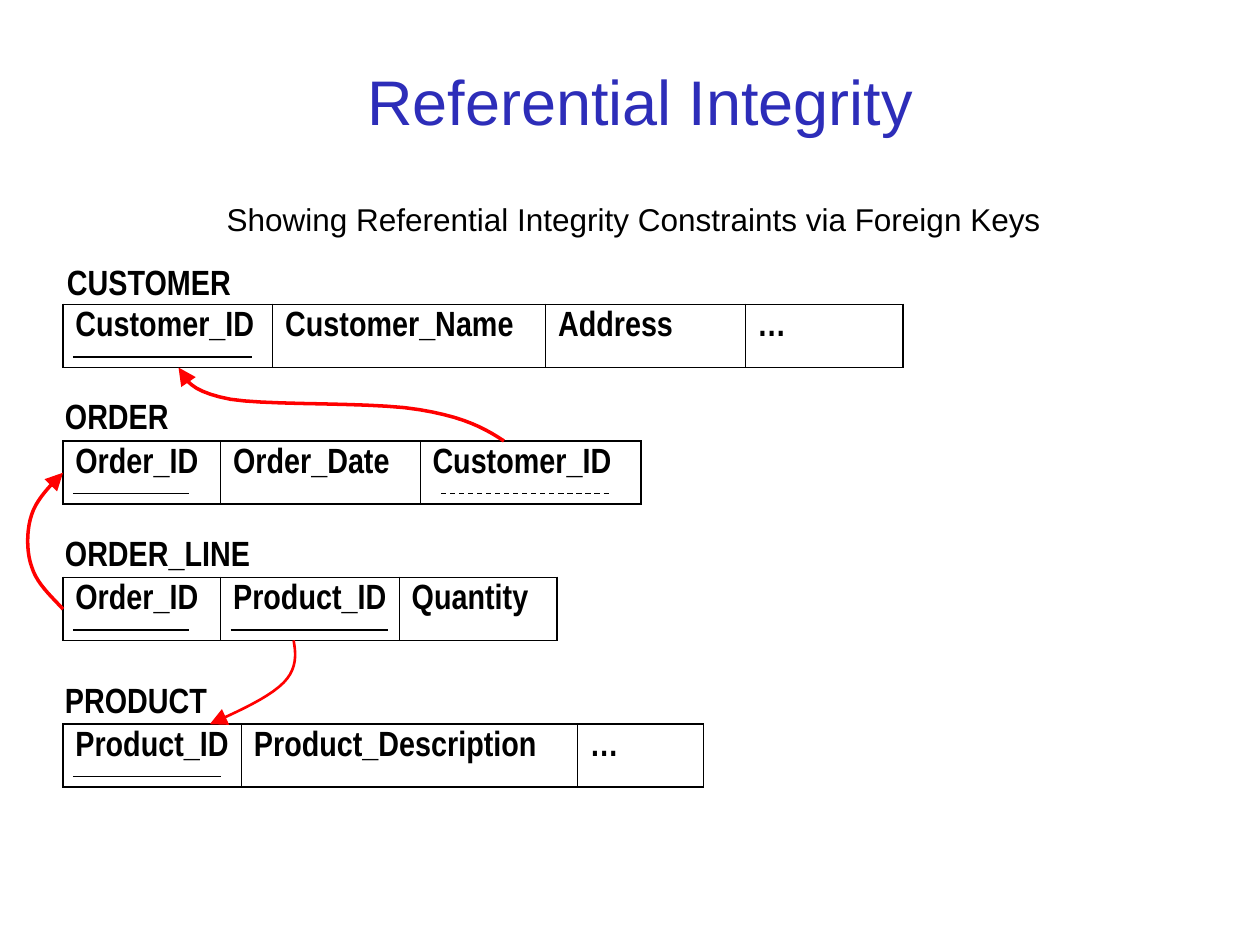
"""Build a slide showing referential integrity between four relations."""
import lxml.etree
import pptx
import pptx.dml.color
import pptx.enum.dml
import pptx.enum.shapes
import pptx.enum.text
import pptx.oxml.ns
import pptx.util

Cm = pptx.util.Cm
Pt = pptx.util.Pt
qn = pptx.oxml.ns.qn
COLORS = {"title": "2D2DB9", "ink": "000000", "key": "FF0000"}
LEFT = 1.27
ROW_HEIGHT = 1.27
UNDERLINE_DROP = 1.06
CURVE_STEPS = 10


def rgb(name):
    """Return the named colour."""
    return pptx.dml.color.RGBColor.from_string(COLORS[name])


def write_text(text_frame, text, size=20, font="Arial Narrow", color="ink", bold=True, align="LEFT"):
    """Write one formatted paragraph into a text frame."""
    paragraph = text_frame.paragraphs[0]
    paragraph.text = text
    paragraph.alignment = getattr(pptx.enum.text.PP_ALIGN, align)
    run_font = paragraph.runs[0].font
    run_font.name = font
    run_font.size = Pt(size)
    run_font.bold = bold
    run_font.color.rgb = rgb(color)


presentation = pptx.Presentation()
presentation.slide_width, presentation.slide_height = Cm(25.4), Cm(19.05)
slide = presentation.slides.add_slide(presentation.slide_layouts[5])

title = slide.shapes.title
title.left, title.top, title.width, title.height = Cm(0.84), Cm(0.43), Cm(24.13), Cm(3.18)
title.text_frame.vertical_anchor = pptx.enum.text.MSO_ANCHOR.MIDDLE
write_text(title.text_frame, "Referential Integrity", size=36, font="Arial",
           color="title", bold=False, align="CENTER")

labels = [
    ("Showing Referential Integrity Constraints via Foreign Keys", 4.32, 3.91, 16.92, 1.02,
     {"size": 18, "font": "Arial", "bold": False}),
    ("CUSTOMER", 1.1, 5.13, 3.81, 1.12, {}),
    ("ORDER", 1.06, 7.83, 2.7, 1.12, {}),
    ("ORDER_LINE", 1.06, 10.58, 4.24, 1.12, {}),
    ("PRODUCT", 1.06, 13.55, 3.45, 1.12, {}),
]
for text, left, top, width, height, style in labels:
    text_box = slide.shapes.add_textbox(Cm(left), Cm(top), Cm(width), Cm(height))
    text_box.text_frame.word_wrap = False
    text_box.text_frame.auto_size = pptx.enum.text.MSO_AUTO_SIZE.SHAPE_TO_FIT_TEXT
    write_text(text_box.text_frame, text, **style)

relations = [
    (6.14, [("Customer_ID", 4.23), ("Customer_Name", 5.5), ("Address", 4.02), ("…", 3.18)],
     [(1.47, 5.08, False)]),
    (8.89, [("Order_ID", 3.18), ("Order_Date", 4.02), ("Customer_ID", 4.45)],
     [(1.47, 3.81, False), (8.89, 12.29, True)]),
    (11.64, [("Order_ID", 3.18), ("Product_ID", 3.6), ("Quantity", 3.18)],
     [(1.47, 3.81, False), (4.65, 7.82, False)]),
    (14.6, [("Product_ID", 3.6), ("Product_Description", 6.77), ("…", 2.54)],
     [(1.47, 4.45, False)]),
]
for top, attributes, underlines in relations:
    total_width = sum(width for _, width in attributes)
    table = slide.shapes.add_table(1, len(attributes), Cm(LEFT), Cm(top),
                                   Cm(total_width), Cm(ROW_HEIGHT)).table
    table.first_row = table.horz_banding = False
    last = len(attributes) - 1
    for column, (name, width) in enumerate(attributes):
        table.columns[column].width = Cm(width)
        cell = table.cell(0, column)
        cell.margin_left = cell.margin_right = Cm(0.25)
        cell.margin_top = cell.margin_bottom = Cm(0.13)
        write_text(cell.text_frame, name)
        properties = cell._tc.get_or_add_tcPr()
        inner_sides = {"L": column > 0, "R": column < last, "T": False, "B": False}
        for side, inner in inner_sides.items():
            border = lxml.etree.SubElement(properties, qn(f"a:ln{side}"),
                                           w=str(Pt(0.45 if inner else 1.08)))
            fill = lxml.etree.SubElement(border, qn("a:solidFill"))
            lxml.etree.SubElement(fill, qn("a:srgbClr"), val=COLORS["ink"])
        cell.fill.background()

    for start, end, dashed in underlines:
        height = Cm(top + UNDERLINE_DROP)
        underline = slide.shapes.add_connector(pptx.enum.shapes.MSO_CONNECTOR.STRAIGHT,
                                               Cm(start), height, Cm(end), height)
        underline.line.color.rgb = rgb("ink")
        underline.line.width = Pt(0.75)
        if dashed:
            underline.line.dash_style = pptx.enum.dml.MSO_LINE.DASH
        lxml.etree.SubElement(underline._element.spPr, qn("a:effectLst"))

references = [
    (2, [(10.16, 8.89), (9.78, 8.64), (9.37, 8.41), (8.46, 8.26), (7.54, 8.1), (5.46, 8.18),
         (4.65, 8.05), (3.84, 7.9), (3.73, 7.65), (3.6, 7.41)]),
    (1.5, [(5.92, 12.91), (5.97, 13.18), (5.99, 13.49), (5.72, 13.76), (5.44, 14.05),
           (4.83, 14.33), (4.23, 14.6)]),
    (2, [(1.27, 12.28), (1.02, 12.01), (0.74, 11.76), (0.64, 11.43), (0.53, 11.13),
         (0.53, 10.69), (0.64, 10.37), (0.74, 10.06), (1.02, 9.78), (1.27, 9.53)]),
]
for width, controls in references:
    points = []
    for index in range(0, len(controls) - 1, 3):
        for step in range(1, CURVE_STEPS + 1):
            t = step / CURVE_STEPS
            weights = ((1 - t) ** 3, 3 * t * (1 - t) ** 2, 3 * t ** 2 * (1 - t), t ** 3)
            segment = controls[index:index + 4]
            points.append(tuple(Cm(sum(weight * point[axis] for weight, point in zip(weights, segment)))
                                for axis in (0, 1)))
    builder = slide.shapes.build_freeform(Cm(controls[0][0]), Cm(controls[0][1]))
    builder.add_line_segments(points, close=False)
    arrow = builder.convert_to_shape()
    arrow.shadow.inherit = False
    arrow.fill.background()
    arrow.line.color.rgb = rgb("key")
    arrow.line.width = Pt(width)
    lxml.etree.SubElement(arrow.line._get_or_add_ln(), qn("a:tailEnd"),
                          type="triangle", w="lg", len="lg")

presentation.save("out.pptx")
